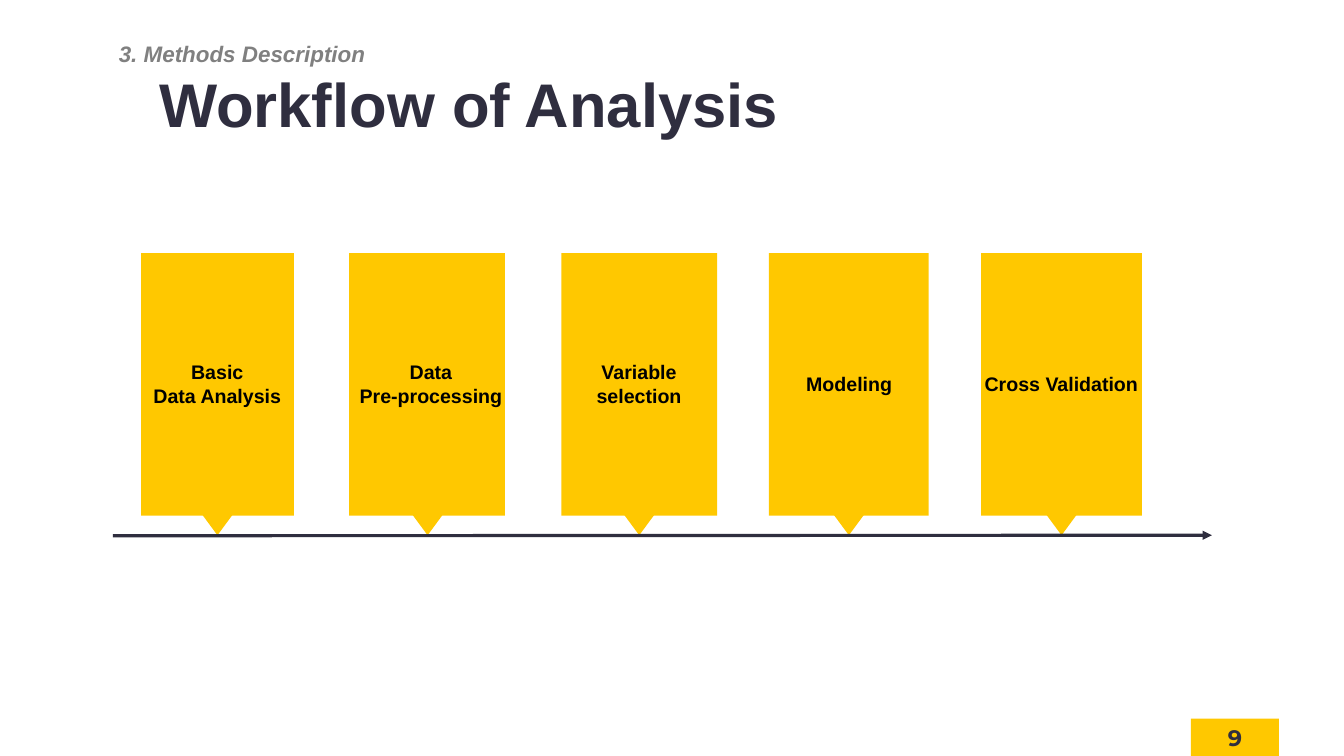
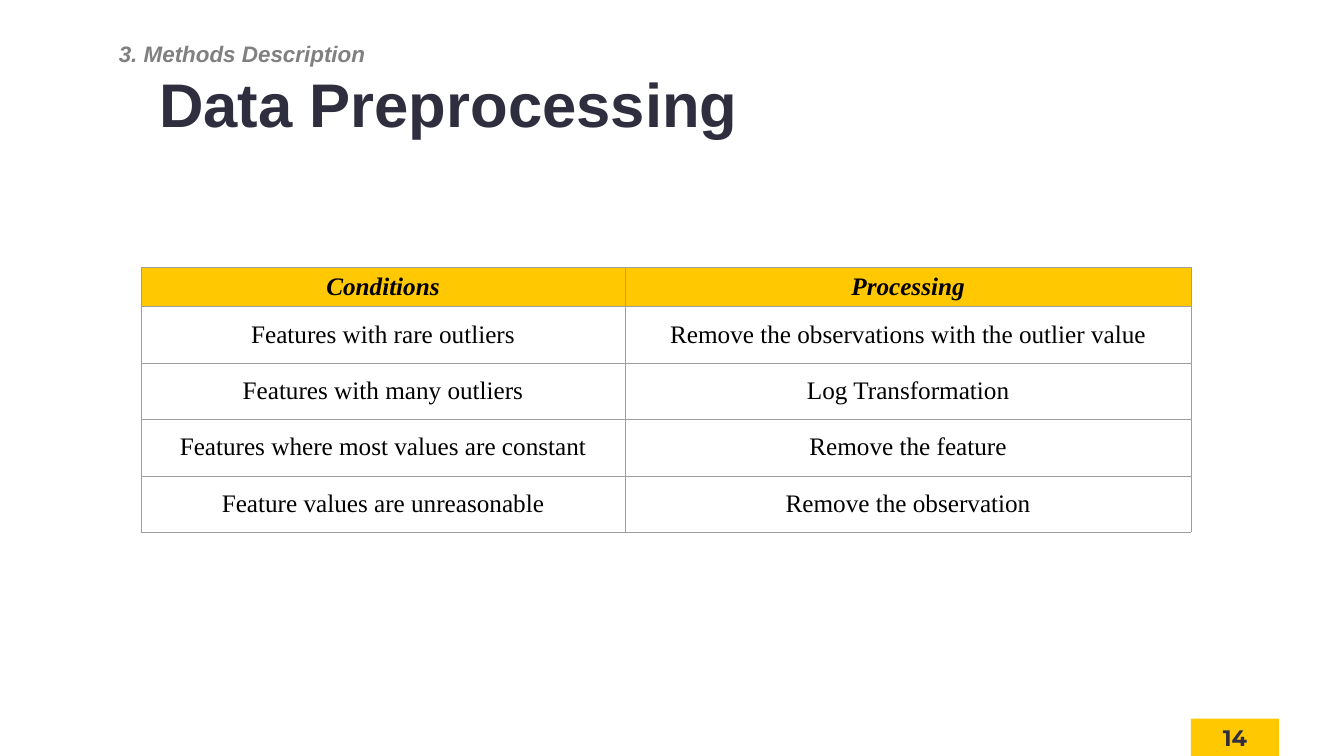
from dataclasses import dataclass
from typing import Any, NamedTuple

from lxml.etree import SubElement
from pptx import Presentation
from pptx.dml.color import RGBColor
from pptx.enum.shapes import MSO_CONNECTOR, MSO_SHAPE
from pptx.enum.text import MSO_ANCHOR, MSO_AUTO_SIZE, PP_ALIGN
from pptx.oxml.ns import qn
from pptx.util import Inches, Pt


@dataclass(frozen=True)
class Theme:
    """Colours, fonts and type sizes of the deck."""

    gold: str = "FFC800"
    ink: str = "2F2E3F"
    gray: str = "808080"
    black: str = "000000"
    rule: str = "9E9E9E"
    sans: str = "Arial"
    serif: str = "Times New Roman"
    badge: str = "Montserrat"
    huge: int = 88
    cell: int = 36
    mid: int = 32
    small: int = 28


class Box(NamedTuple):
    """A place on the slide, in inches."""

    left: float
    top: float
    width: float
    height: float


class Style(NamedTuple):
    """The look of a piece of text."""

    font: str
    size: int
    color: str
    bold: bool = True
    italic: bool = False
    align: PP_ALIGN = PP_ALIGN.CENTER


class Step(NamedTuple):
    """One card of the workflow with its label and pointer."""

    text: str
    left: float
    width: float
    label: Box
    tip: float
    wrap: bool = False


THEME = Theme()
TITLE = Style(THEME.sans, THEME.huge, THEME.ink, align=PP_ALIGN.LEFT)
TOPIC = Style(THEME.sans, THEME.mid, THEME.gray, italic=True)
NUMBER = Style(THEME.badge, THEME.mid, THEME.ink)
LABEL = Style(THEME.sans, THEME.small, THEME.black)
HEAD = Style(THEME.serif, THEME.cell, THEME.black, italic=True)
BODY = Style(THEME.serif, THEME.cell, THEME.black, bold=False)

STEPS = [
    Step("Basic\nData Analysis", 2.8, 3.03, Box(2.92, 7.1, 2.78, 1.04), 4.02),
    Step("Data\nPre-processing", 6.93, 3.09, Box(7.02, 7.1, 3.06, 1.04), 8.19),
    Step("Variable selection", 11.14, 3.09, Box(11.49, 7.1, 2.38, 1.04), 12.39, True),
    Step("Modeling", 15.26, 3.17, Box(15.48, 7.33, 2.74, 0.57), 16.55, True),
    Step("Cross Validation", 19.47, 3.19, Box(19.41, 7.33, 3.3, 0.57), 20.77),
]
ROWS = [
    ("Conditions", "Processing"),
    ("Features with rare outliers", "Remove the observations with the outlier value"),
    ("Features with many outliers", "Log Transformation"),
    ("Features where most values are constant", "Remove the feature"),
    ("Feature values are unreasonable", "Remove the observation"),
]


def assign(item: Any, values: dict[str, Any]) -> None:
    """Set each named value on the item."""
    for name, value in values.items():
        setattr(item, name, value)


def place(box: Box) -> list[int]:
    """Turn a box into lengths."""
    return [Inches(side) for side in box]


def write(frame: Any, text: str, style: Style) -> None:
    """Fill a text frame, one paragraph per line."""
    frame.text = text
    for para in frame.paragraphs:
        para.alignment = style.align
        font = para.runs[0].font
        assign(font, {"name": style.font, "size": Pt(style.size),
                      "bold": style.bold, "italic": style.italic})
        font.color.rgb = RGBColor.from_string(style.color)


def add_text(slide: Any, box: Box, text: str, style: Style, **form: Any) -> None:
    """Add a text box with the given frame format."""
    frame = slide.shapes.add_textbox(*place(box)).text_frame
    write(frame, text, style)
    assign(frame, form)


def add_block(slide: Any, kind: MSO_SHAPE, box: Box, turn: float = 0) -> Any:
    """Add a plain gold shape."""
    shape = slide.shapes.add_shape(kind, *place(box))
    shape.shadow.inherit = False
    shape.fill.solid()
    shape.fill.fore_color.rgb = RGBColor.from_string(THEME.gold)
    shape.line.fill.background()
    shape.rotation = turn
    return shape


def add_page(deck: Any, title: str, number: int) -> Any:
    """Add a slide with title, topic and page number."""
    slide = deck.slides.add_slide(deck.slide_layouts[6])
    add_text(slide, Box(3.16, 1.19, 18.71, 0.68), title, TITLE, word_wrap=True,
             margin_left=0, margin_right=0, margin_top=Inches(0.12), margin_bottom=0)
    badge = add_block(slide, MSO_SHAPE.RECTANGLE, Box(23.63, 14.26, 1.75, 0.74))
    write(badge.text_frame, str(number), NUMBER)
    assign(badge.text_frame, {"margin_left": 0, "margin_right": 0,
                              "margin_top": Inches(0.1), "margin_bottom": Inches(0.1),
                              "vertical_anchor": MSO_ANCHOR.MIDDLE})
    add_text(slide, Box(2.24, 0.75, 5.13, 0.64), "3. Methods Description", TOPIC,
             word_wrap=False, auto_size=MSO_AUTO_SIZE.SHAPE_TO_FIT_TEXT)
    return slide


def add_arrow(slide: Any) -> None:
    """Add the time line below the cards."""
    ends = [Inches(end) for end in (2.24, 10.63, 24.05, 10.62)]
    line = slide.shapes.add_connector(MSO_CONNECTOR.STRAIGHT, *ends)
    line.line.color.rgb = RGBColor.from_string(THEME.ink)
    line.line.width = Pt(4.5)
    SubElement(line.line._get_or_add_ln(), qn("a:tailEnd"), type="triangle")
    SubElement(line._element.spPr, qn("a:effectLst"))


def add_flow(slide: Any) -> None:
    """Draw the workflow cards, pointers and time line."""
    for step in STEPS:
        add_block(slide, MSO_SHAPE.RECTANGLE, Box(step.left, 5.02, step.width, 5.21))
        add_block(slide, MSO_SHAPE.ISOSCELES_TRIANGLE, Box(step.tip, 10.22, 0.59, 0.4), 180)
        add_text(slide, step.label, step.text, LABEL, word_wrap=step.wrap,
                 auto_size=MSO_AUTO_SIZE.SHAPE_TO_FIT_TEXT)
    add_arrow(slide)


def add_edges(cell: Any) -> None:
    """Rule all four sides of a cell."""
    props = cell._tc.get_or_add_tcPr()
    for spot, side in enumerate(("lnL", "lnR", "lnT", "lnB")):
        line = props.makeelement(qn(f"a:{side}"), {"w": str(Pt(0.5))})
        fill = SubElement(line, qn("a:solidFill"))
        SubElement(fill, qn("a:srgbClr"), val=THEME.rule)
        props.insert(spot, line)


def add_grid(slide: Any) -> None:
    """Draw the table of conditions and processing."""
    box = Box(2.8, 5.31, 20.84, 5.25)
    grid = slide.shapes.add_table(len(ROWS), 2, *place(box)).table
    assign(grid, {"first_row": False, "horz_banding": False})
    for column, width in zip(grid.columns, (9.6, 11.24)):
        column.width = Inches(width)
    pad = {f"margin_{side}": Inches(0.03) for side in ("left", "right", "top", "bottom")}
    for index, texts in enumerate(ROWS):
        grid.rows[index].height = Inches(1.12 if index else 0.77)
        for spot, text in enumerate(texts):
            cell = grid.cell(index, spot)
            write(cell.text_frame, text, BODY if index else HEAD)
            assign(cell, {**pad, "vertical_anchor": MSO_ANCHOR.MIDDLE})
            if index:
                cell.fill.background()
            else:
                cell.fill.solid()
                cell.fill.fore_color.rgb = RGBColor.from_string(THEME.gold)
            add_edges(cell)


def main() -> None:
    """Build and save the deck."""
    deck = Presentation()
    assign(deck, {"slide_width": Inches(26.67), "slide_height": Inches(15)})
    add_flow(add_page(deck, "Workflow of Analysis", 9))
    add_grid(add_page(deck, "Data Preprocessing", 14))
    deck.save("out.pptx")


if __name__ == "__main__":
    main()
